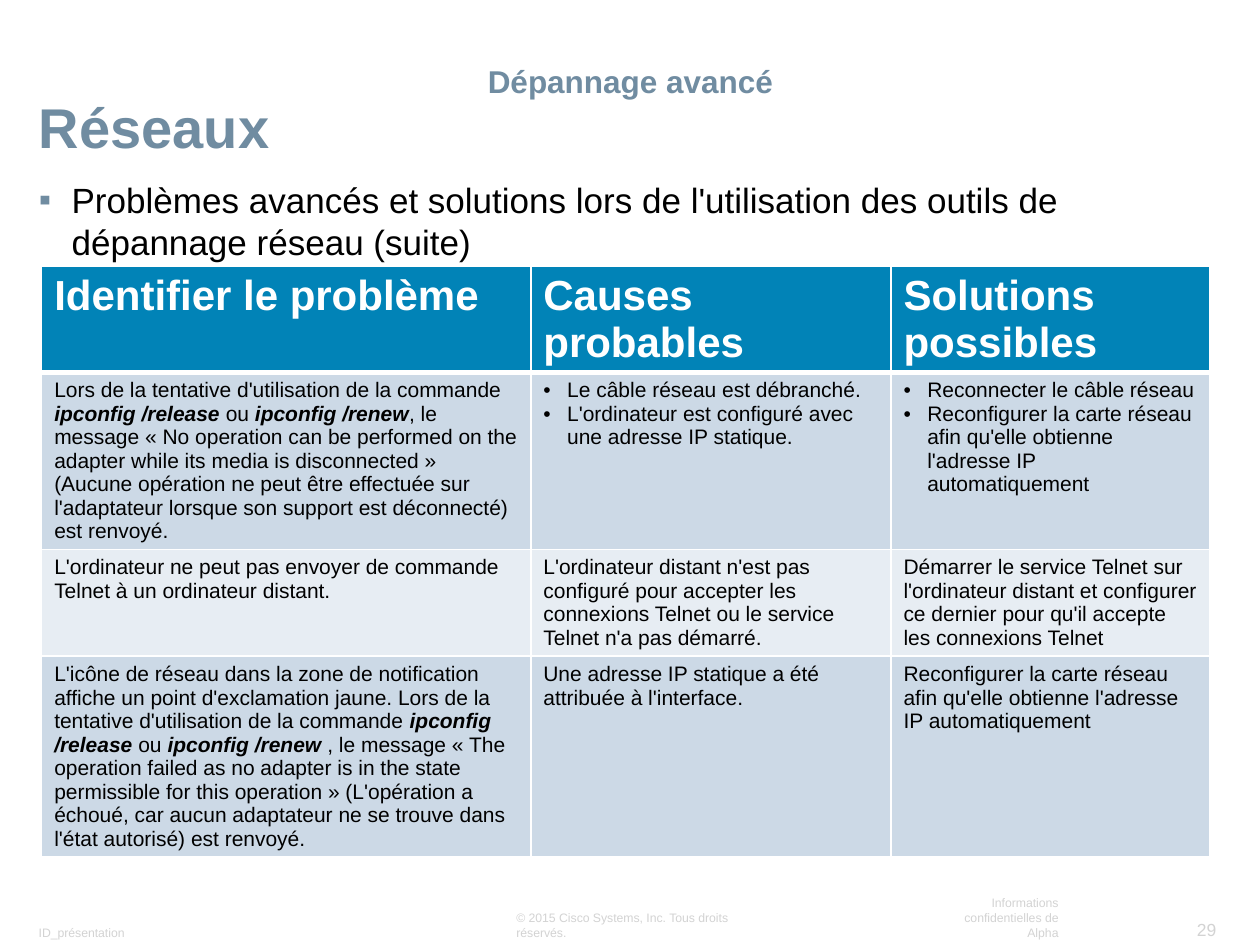
"""Build a slide on advanced network troubleshooting with a problem table."""
from lxml import etree
from pptx import Presentation
from pptx import util as u
from pptx.dml import color
from pptx.enum import text
from pptx.oxml import ns

LEFT, CENTER, RIGHT = text.PP_ALIGN.LEFT, text.PP_ALIGN.CENTER, text.PP_ALIGN.RIGHT
HEADINGS = ["Identifier le problème", "Causes probables", "Solutions possibles"]
PROBLEMS = [
    [
        ["Lors de la tentative d'utilisation de la commande |ipconfig /release |ou |ipconfig /renew|"
         ", le message « No operation can be performed on the adapter while its media is "
         "disconnected » (Aucune opération ne peut être effectuée sur l'adaptateur lorsque son "
         "support est déconnecté) est renvoyé."],
        ["Le câble réseau est débranché.",
         "L'ordinateur est configuré avec une adresse IP statique."],
        ["Reconnecter le câble réseau",
         "Reconfigurer la carte réseau afin qu'elle obtienne l'adresse IP automatiquement"],
    ],
    [
        ["L'ordinateur ne peut pas envoyer de commande Telnet à un ordinateur distant."],
        ["L'ordinateur distant n'est pas configuré pour accepter les connexions Telnet ou le "
         "service Telnet n'a pas démarré."],
        ["Démarrer le service Telnet sur l'ordinateur distant et configurer ce dernier pour "
         "qu'il accepte les connexions Telnet"],
    ],
    [
        ["L'icône de réseau dans la zone de notification affiche un point d'exclamation jaune. "
         "Lors de la tentative d'utilisation de la commande |ipconfig /release |ou |"
         "ipconfig /renew |, le message « The operation failed as no adapter is in the state "
         "permissible for this operation » (L'opération a échoué, car aucun adaptateur ne se "
         "trouve dans l'état autorisé) est renvoyé."],
        ["Une adresse IP statique a été attribuée à l'interface."],
        ["Reconfigurer la carte réseau afin qu'elle obtienne l'adresse IP automatiquement"],
    ],
]


def rgb(value):
    return color.RGBColor.from_string(value)


class SlideBuilder:
    """Hold the style and the current page."""

    font = "Arial"
    slate, black, white, grey = "708CA1", "000000", "FFFFFF", "D3D3D3"
    header, bands = "0183B7", ("CCD9E6", "E7EDF3")

    def __init__(self, deck):
        self.page = deck.slides.add_slide(deck.slide_layouts[1])

    def place(self, box, left, top, width, height):
        box.left, box.top = u.Cm(left), u.Cm(top)
        box.width, box.height = u.Cm(width), u.Cm(height)

    def frame(self, box, anchor):
        frame = box.text_frame
        frame.word_wrap = True
        frame.auto_size = text.MSO_AUTO_SIZE.NONE
        frame.vertical_anchor = anchor
        return frame

    def paragraph(self, frame, index, words, size, fill, bold=False, align=LEFT, spacing=1.0):
        para = frame.paragraphs[0] if index == 0 else frame.add_paragraph()
        para.alignment, para.line_spacing = align, spacing
        para.space_before = u.Pt(0)
        for position, part in enumerate(words.split("|")):
            command = position % 2 == 1
            span = para.add_run()
            span.text = part
            span.font.name, span.font.size = self.font, u.Pt(size)
            span.font.color.rgb = rgb(fill)
            span.font.bold, span.font.italic = bold or command, command
        return para

    def bullet(self, para, mark, indent, fill):
        properties = para._p.get_or_add_pPr()
        properties.set("marL", str(u.Cm(indent)))
        properties.set("indent", str(-u.Cm(indent)))
        tint = etree.SubElement(properties, ns.qn("a:buClr"))
        etree.SubElement(tint, ns.qn("a:srgbClr"), val=fill)
        etree.SubElement(properties, ns.qn("a:buFont"), typeface=self.font)
        etree.SubElement(properties, ns.qn("a:buChar"), char=mark)

    def title(self, chapter, topic, *area):
        box = self.page.shapes.title
        self.place(box, *area)
        frame = self.frame(box, text.MSO_ANCHOR.BOTTOM)
        self.paragraph(frame, 0, chapter, 18, self.slate, True, CENTER, 0.9)
        self.paragraph(frame, 1, topic, 32, self.slate, True, LEFT, 0.9)

    def body(self, words, *area):
        box = self.page.placeholders[1]
        self.place(box, *area)
        frame = self.frame(box, text.MSO_ANCHOR.TOP)
        self.bullet(self.paragraph(frame, 0, words, 20, self.black), "▪", 0.66, self.slate)

    def footer(self, words, size, align, *area):
        box = self.page.shapes.add_textbox(*map(u.Cm, area))
        frame = self.frame(box, text.MSO_ANCHOR.BOTTOM)
        self.paragraph(frame, 0, words, size, self.grey, align=align)

    def borders(self, cell, top, bottom):
        properties = cell._tc.get_or_add_tcPr()
        widths = {"lnL": 1, "lnR": 1, "lnT": top, "lnB": bottom}
        for position, (side, width) in enumerate(widths.items()):
            line = etree.Element(ns.qn(f"a:{side}"), w=str(u.Pt(width)))
            fill = etree.SubElement(line, ns.qn("a:solidFill"))
            etree.SubElement(fill, ns.qn("a:srgbClr"), val=self.white)
            properties.insert(position, line)

    def table(self, headings, rows, left, top, widths, heights):
        grid = self.page.shapes.add_table(
            len(heights), len(widths), u.Cm(left), u.Cm(top),
            u.Cm(sum(widths)), u.Cm(sum(heights))).table
        for column, width in zip(grid.columns, widths):
            column.width = u.Cm(width)
        for line, height in zip(grid.rows, heights):
            line.height = u.Cm(height)
        for row, contents in enumerate([[[name] for name in headings]] + rows):
            heading = row == 0
            size, ink = (24, self.white) if heading else (12, self.black)
            for column, items in enumerate(contents):
                cell = grid.cell(row, column)
                cell.fill.solid()
                cell.fill.fore_color.rgb = rgb(self.header if heading else self.bands[(row - 1) % 2])
                self.borders(cell, 3 if row == 1 else 1, 3 if heading else 1)
                for index, words in enumerate(items):
                    para = self.paragraph(cell.text_frame, index, words, size, ink, heading)
                    if len(items) > 1:
                        self.bullet(para, "•", 0.48, ink)


def main():
    deck = Presentation()
    deck.slide_width, deck.slide_height = u.Cm(25.4), u.Cm(19.05)
    slide = SlideBuilder(deck)
    slide.footer("ID_présentation", 7, LEFT, 0.53, 18.54, 2.67, 0.53)
    slide.footer("29", 10, RIGHT, 23.87, 18.42, 0.9, 0.66)
    slide.footer("© 2015 Cisco Systems, Inc. Tous droits réservés.", 7, LEFT, 10.16, 18.54, 5.61, 0.53)
    slide.footer("Informations confidentielles de Alpha", 7, RIGHT, 19.15, 18.54, 2.44, 0.53)
    slide.title("Dépannage avancé", "Réseaux", 0.53, 1.02, 24.36, 2.34)
    slide.body("Problèmes avancés et solutions lors de l'utilisation des outils de "
               "dépannage réseau (suite)", 0.53, 3.48, 24.51, 1.63)
    slide.table(HEADINGS, PROBLEMS, 0.84, 5.36, [9.86, 7.26, 6.43], [2.14, 3.57, 2.15, 4.04])
    deck.save("out.pptx")


if __name__ == "__main__":
    main()
